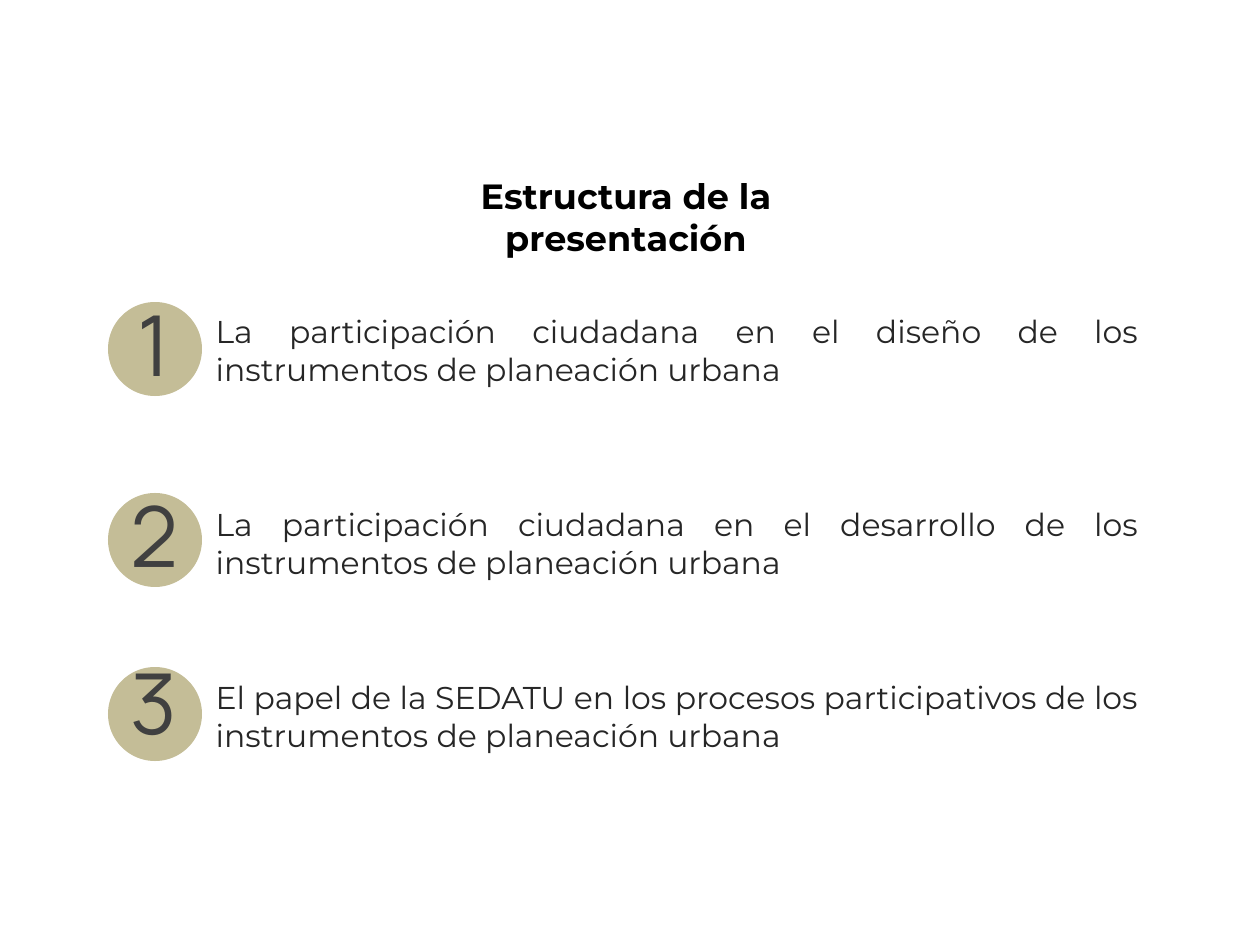
from lxml.etree import SubElement
from pptx import Presentation
from pptx.dml.color import RGBColor
from pptx.enum.shapes import MSO_SHAPE
from pptx.enum.text import MSO_ANCHOR, MSO_AUTO_SIZE, PP_ALIGN
from pptx.oxml.ns import qn
from pptx.util import Pt

PX = 914400 / 126
COLORS = {"disc": "C4BD97", "number": "404040", "item": "262626", "title": "000000"}
FORMATS = {
    "title": {"name": "Montserrat", "size": Pt(20), "bold": True},
    "item": {"name": "Montserrat", "size": Pt(18), "bold": False},
    "number": {"name": "Manrope", "size": Pt(48), "bold": False},
}
ALIGN = {"title": PP_ALIGN.CENTER, "item": PP_ALIGN.JUSTIFY, "number": PP_ALIGN.CENTER}
COMPARISON_LAYOUT = 4  # a title and four body placeholders

# Tops of disc, number and item, then the wording
ITEMS = [
    (302, 280, 306, "La participación ciudadana en el diseño de los "
                    "instrumentos de planeación urbana"),
    (493, 471, 499, "La participación ciudadana en el desarrollo de los "
                    "instrumentos de planeación urbana"),
    (667, 638, 672, "El papel de la SEDATU en los procesos participativos de los "
                    "instrumentos de planeación urbana"),
]


def px(n):
    return round(n * PX)


def rgb(key):
    return RGBColor.from_string(COLORS[key])


def place(sp, *box):
    for attr, n in zip(("left", "top", "width", "height"), box):
        setattr(sp, attr, px(n))


def write(sp, text, kind):
    """Set one paragraph of text in the format of its kind."""
    tf = sp.text_frame
    tf.word_wrap = True
    tf.vertical_anchor = MSO_ANCHOR.TOP
    p = tf.paragraphs[0]
    p.alignment = ALIGN[kind]
    p.space_before = Pt(0)
    r = p.add_run()
    r.text = text
    for attr, value in FORMATS[kind].items():
        setattr(r.font, attr, value)
    r.font.color.rgb = rgb(kind)
    return tf


def fill_placeholder(sp, text, kind, *box):
    place(sp, *box)
    tf = write(sp, text, kind)
    tf.auto_size = MSO_AUTO_SIZE.SHAPE_TO_FIT_TEXT
    pPr = tf.paragraphs[0]._p.get_or_add_pPr()
    pPr.set("marL", "0")
    pPr.set("indent", "0")
    SubElement(pPr, qn("a:buNone"))


def add_disc(s, top):
    sp = s.shapes.add_shape(MSO_SHAPE.OVAL, px(108), px(top), px(94), px(94))
    sp.shadow.inherit = False
    sp.fill.solid()
    sp.fill.fore_color.rgb = rgb("disc")
    sp.line.fill.background()


def add_number(s, top, number):
    sp = s.shapes.add_textbox(px(108), px(top), px(92), px(151))
    tf = write(sp, str(number), "number")
    for side in ("left", "top", "right", "bottom"):
        setattr(tf, f"margin_{side}", px(13))


def remove_empty_placeholders(s):
    for sp in list(s.placeholders):
        if not sp.text_frame.text:
            sp._element.getparent().remove(sp._element)


def main():
    prs = Presentation()
    prs.slide_width, prs.slide_height = px(1260), px(945)
    s = prs.slides.add_slide(prs.slide_layouts[COMPARISON_LAYOUT])
    fill_placeholder(s.shapes.title, "Estructura de la presentación", "title",
                     355, 168, 542, 55)
    for i, (disc_top, number_top, item_top, text) in enumerate(ITEMS, 1):
        add_disc(s, disc_top)
        add_number(s, number_top, i)
        fill_placeholder(s.placeholders[i], text, "item", 203, item_top, 948, 89)
    remove_empty_placeholders(s)
    prs.save("out.pptx")


if __name__ == "__main__":
    main()
